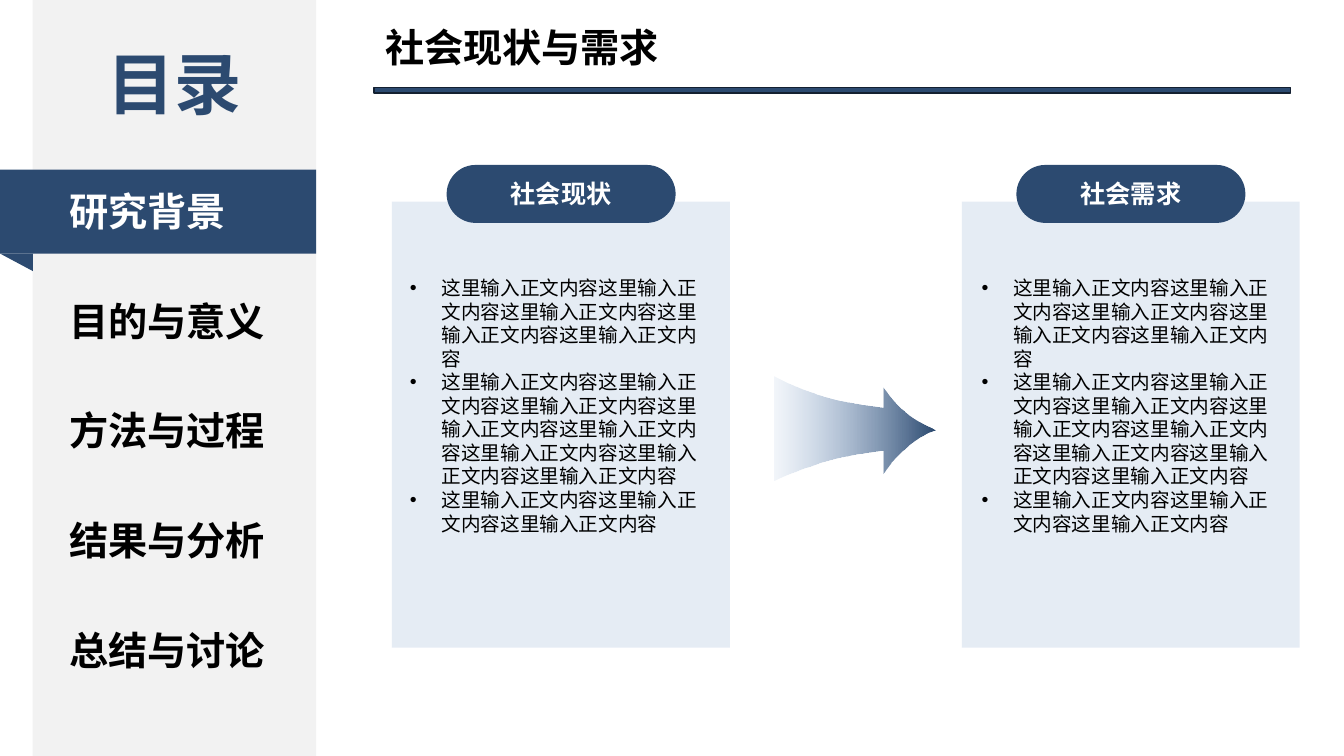
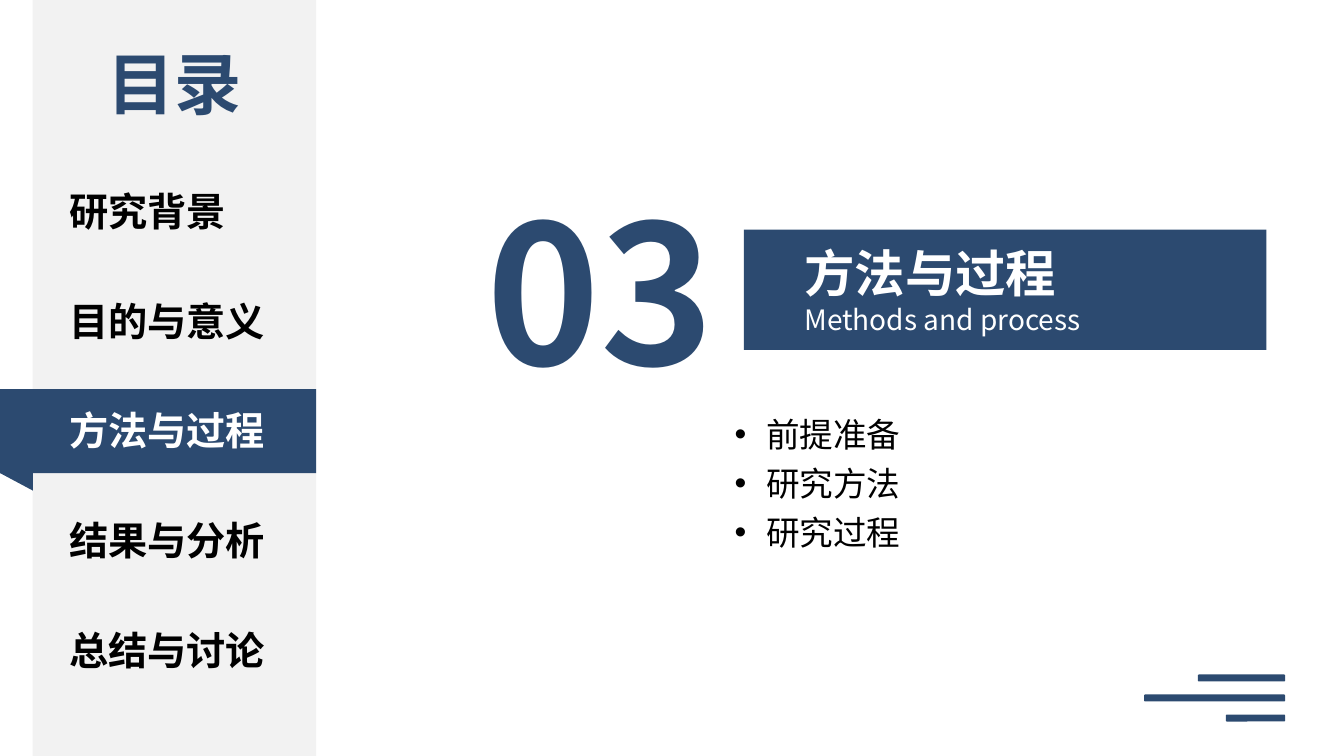
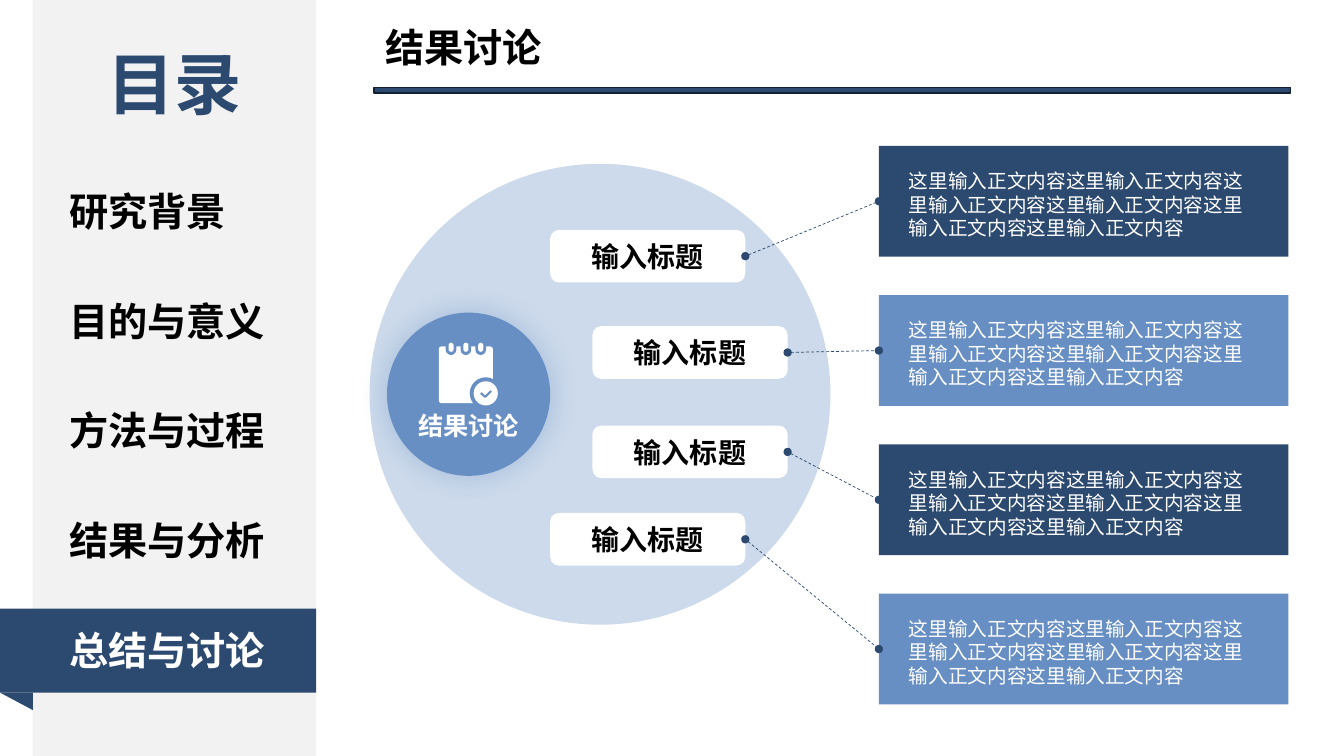
"""Builds three slides of a research report with a shared contents sidebar."""
from lxml.etree import SubElement
from pptx import Presentation
from pptx.dml.color import RGBColor
from pptx.enum.dml import MSO_LINE
from pptx.enum.shapes import MSO_CONNECTOR, MSO_SHAPE
from pptx.enum.text import MSO_ANCHOR, MSO_AUTO_SIZE, PP_ALIGN
from pptx.oxml.ns import qn
from pptx.util import Pt

FONT = "Noto Sans CJK SC"
COLORS = {
    "navy": "2C4A70", "blue": "678FC3", "pale": "CCDAEB", "mist": "80A2CD",
    "panel": "F2F2F2", "edge": "132031", "white": "FFFFFF", "black": "000000",
}
RGB = {name: RGBColor.from_string(value) for name, value in COLORS.items()}
SECTIONS = ["研究背景", "目的与意义", "方法与过程", "结果与分析", "总结与讨论"]
FILLER = "这里输入正文内容"


def add_shape(slide, kind, left, top, width, height, fill):
    shape = slide.shapes.add_shape(kind, Pt(left), Pt(top), Pt(width), Pt(height))
    shape.shadow.inherit = False
    shape.fill.solid()
    shape.fill.fore_color.rgb = RGB[fill]
    shape.line.fill.background()
    return shape


def add_text(slide, box, lines, size, color="black", bold=False, align=PP_ALIGN.LEFT,
             bullets=False, shape=None):
    if shape is None:
        shape = slide.shapes.add_textbox(*[Pt(value) for value in box])
        shape.text_frame.auto_size = MSO_AUTO_SIZE.SHAPE_TO_FIT_TEXT
    else:
        shape.text_frame.vertical_anchor = MSO_ANCHOR.MIDDLE
    frame = shape.text_frame
    frame.word_wrap = True
    frame.text = "\n".join(lines)
    for paragraph in frame.paragraphs:
        paragraph.alignment = align
        if bullets:
            properties = paragraph._p.get_or_add_pPr()
            properties.set("marL", str(Pt(22.5)))
            properties.set("indent", str(-Pt(22.5)))
            SubElement(properties, qn("a:buFont"), typeface="Arial")
            SubElement(properties, qn("a:buChar"), char="•")
        for run in paragraph.runs:
            run.font.size = Pt(size)
            run.font.bold = bold
            run.font.color.rgb = RGB[color]
            run.font.name = FONT
            SubElement(run._r.get_or_add_rPr(), qn("a:ea"), typeface=FONT)
    return shape


presentation = Presentation()
presentation.slide_width = Pt(960)
presentation.slide_height = Pt(540)

slides = []
for active, title in [(0, "社会现状与需求"), (2, None), (4, "结果讨论")]:
    slide = presentation.slides.add_slide(presentation.slide_layouts[6])
    slides.append(slide)
    if active == 4:
        add_shape(slide, MSO_SHAPE.OVAL, 264, 117, 329.2, 329.2, "pale")
    add_shape(slide, MSO_SHAPE.RECTANGLE, 23.4, 0, 202.4, 540, "panel")
    add_text(slide, (54.7, 26.6, 139.7, 65.5), ["目录"], 48, "navy", True, PP_ALIGN.CENTER)
    band_top = 121.1 + 78.4 * active
    add_shape(slide, MSO_SHAPE.RECTANGLE, 0, band_top, 225.8, 60, "navy")
    fold = add_shape(slide, MSO_SHAPE.RIGHT_TRIANGLE, 0, band_top + 60, 23.4, 12.5, "navy")
    fold.rotation = 180
    for index, section in enumerate(SECTIONS):
        color = "white" if index == active else "black"
        add_text(slide, (42.5, 130.4 + 78.3 * index, 159, 41), [section], 28, color, True)
    if title:
        rule = add_shape(slide, MSO_SHAPE.RECTANGLE, 267.1, 62.6, 654.9, 4, "navy")
        rule.line.color.rgb = RGB["edge"]
        rule.line.width = Pt(1)
        add_text(slide, (268, 13, 355, 41), [title], 28, bold=True)

background_slide, methods_slide, summary_slide = slides

for card_left, body_left, heading in [(280, 285.8, "社会现状"), (687, 694.1, "社会需求")]:
    card = add_shape(background_slide, MSO_SHAPE.RECTANGLE, card_left, 144, 241.4, 318.6, "pale")
    card_color = card._element.spPr.find(qn("a:solidFill"))[0]
    SubElement(card_color, qn("a:alpha"), val="50000")
    pill = add_shape(background_slide, MSO_SHAPE.ROUNDED_RECTANGLE,
                     card_left + 39, 117.8, 163.6, 41.4, "navy")
    pill.adjustments[0] = 0.5
    add_text(background_slide, None, [heading], 18, "white", True, PP_ALIGN.CENTER, shape=pill)
    add_text(background_slide, (body_left, 193.7, 227.5, 211),
             [FILLER * count for count in (5, 8, 3)], 14, bullets=True)

arrow_segments = [
    (654.5, 301, 643.7, 295.9, 630.7, 277.2), (630.7, 291.6), (615.6, 289.4),
    (594, 286.6, 572.4, 279.4, 553, 269.3), (553, 343.4),
    (573.1, 334.1, 594.7, 326.9, 616.3, 324), (630.7, 321.8), (630.7, 338.4),
    (643, 320.4, 657, 311, 668.2, 307.4),
]
arrow_points = [(668.2, 307.4)]
for segment in arrow_segments:
    if len(segment) == 2:
        arrow_points.append(segment)
        continue
    x0, y0 = arrow_points[-1]
    x1, y1, x2, y2, x3, y3 = segment
    for step in range(1, 13):
        t = step / 12
        u = 1 - t
        arrow_points.append((
            u**3 * x0 + 3 * u * u * t * x1 + 3 * u * t * t * x2 + t**3 * x3,
            u**3 * y0 + 3 * u * u * t * y1 + 3 * u * t * t * y2 + t**3 * y3,
        ))
arrow_points = [(Pt(x), Pt(y)) for x, y in arrow_points]
builder = background_slide.shapes.build_freeform(*arrow_points[0])
builder.add_line_segments(arrow_points[1:])
arrow = builder.convert_to_shape()
arrow.shadow.inherit = False
arrow.line.fill.background()
arrow.fill.gradient()
arrow.fill.gradient_angle = 0
for stop, position, color in zip(arrow.fill.gradient_stops, (0, 1), ("mist", "navy")):
    stop.position = position
    stop.color.rgb = RGB[color]
first_color = arrow._element.spPr.find(".//" + qn("a:srgbClr"))
SubElement(first_color, qn("a:alpha"), val="10000")

add_shape(methods_slide, MSO_SHAPE.RECTANGLE, 531.4, 164, 373.2, 86, "navy")
add_text(methods_slide, (313.2, 119.5, 231.8, 174), ["03"], 138, "navy", True, PP_ALIGN.CENTER)
heading = add_text(methods_slide, (567.4, 169.2, 324, 75),
                   ["方法与过程", "Methods and process"], 36, "white", True)
subtitle = heading.text_frame.paragraphs[1].runs[0]
subtitle.font.size = Pt(20)
subtitle.font.bold = False
topics = add_text(methods_slide, (517.7, 285.8, 319.7, 145.4),
                  ["前提准备", "研究方法", "研究过程"], 24, bullets=True)
for paragraph in topics.text_frame.paragraphs:
    paragraph.line_spacing = Pt(35)
for index, width in enumerate([62.4, 100.8, 42.4]):
    add_shape(methods_slide, MSO_SHAPE.ROUNDED_RECTANGLE,
              918 - width, 481.8 + 14.3 * index, width, 5, "navy")

hub = add_shape(summary_slide, MSO_SHAPE.OVAL, 276.4, 223.3, 116.6, 116.6, "blue")
effects = hub._element.spPr.find(qn("a:effectLst"))
glow = SubElement(effects, qn("a:outerShdw"), blurRad=str(Pt(20)), dist="0", dir="0",
                  algn="ctr", rotWithShape="0")
glow_color = SubElement(glow, qn("a:srgbClr"), val=COLORS["blue"])
SubElement(glow_color, qn("a:alpha"), val="40000")
add_text(summary_slide, (290.9, 289.4, 87.8, 29), ["结果讨论"], 18, "white", True, PP_ALIGN.CENTER)

page = add_shape(summary_slide, MSO_SHAPE.ROUNDED_RECTANGLE, 313.4, 247.5, 38.7, 40.5, "white")
page.adjustments[0] = 0.05
for index in range(3):
    ring_left = 320.4 + 10.6 * index
    for left, top, width, height, fill in [(ring_left - 2, 243, 7.6, 10.6, "blue"),
                                           (ring_left, 244.8, 3.6, 6.5, "white")]:
        ring = add_shape(summary_slide, MSO_SHAPE.ROUNDED_RECTANGLE, left, top, width, height, fill)
        ring.adjustments[0] = 0.5
for diameter, fill in [(23, "blue"), (17.3, "white")]:
    add_shape(summary_slide, MSO_SHAPE.OVAL, 347 - diameter / 2, 281 - diameter / 2,
              diameter, diameter, fill)
builder = summary_slide.shapes.build_freeform(Pt(343.4), Pt(280.8))
builder.add_line_segments([(Pt(346.6), Pt(283.5)), (Pt(350.8), Pt(279.3))], close=False)
check = builder.convert_to_shape()
check.shadow.inherit = False
check.fill.background()
check.line.color.rgb = RGB["blue"]
check.line.width = Pt(1.5)

label_places = [(393, 164.2), (423.2, 233), (423.2, 304), (393, 366.4)]
for index, (label_left, label_top) in enumerate(label_places):
    label = add_shape(summary_slide, MSO_SHAPE.ROUNDED_RECTANGLE,
                      label_left, label_top, 139.4, 37.6, "white")
    add_text(summary_slide, None, ["输入标题"], 20, "black", True, PP_ALIGN.CENTER, shape=label)
    note_top = 104.2 + 106.6 * index
    add_shape(summary_slide, MSO_SHAPE.RECTANGLE, 627.8, note_top, 292.6, 79.2,
              "blue" if index % 2 else "navy")
    add_text(summary_slide, (642.2, note_top + 13, 263.5, 58.3), [FILLER * 6], 14, "white")
    connector = summary_slide.shapes.add_connector(
        MSO_CONNECTOR.STRAIGHT, Pt(label_left + 139.4), Pt(label_top + 18.8),
        Pt(627.8), Pt(note_top + 39.6))
    connector.line.color.rgb = RGB["navy"]
    connector.line.width = Pt(0.5)
    connector.line.dash_style = MSO_LINE.DASH
    properties = connector._element.spPr
    outline = properties.find(qn("a:ln"))
    for end in ("a:headEnd", "a:tailEnd"):
        SubElement(outline, qn(end), type="oval")
    SubElement(properties, qn("a:effectLst"))

presentation.save("out.pptx")
